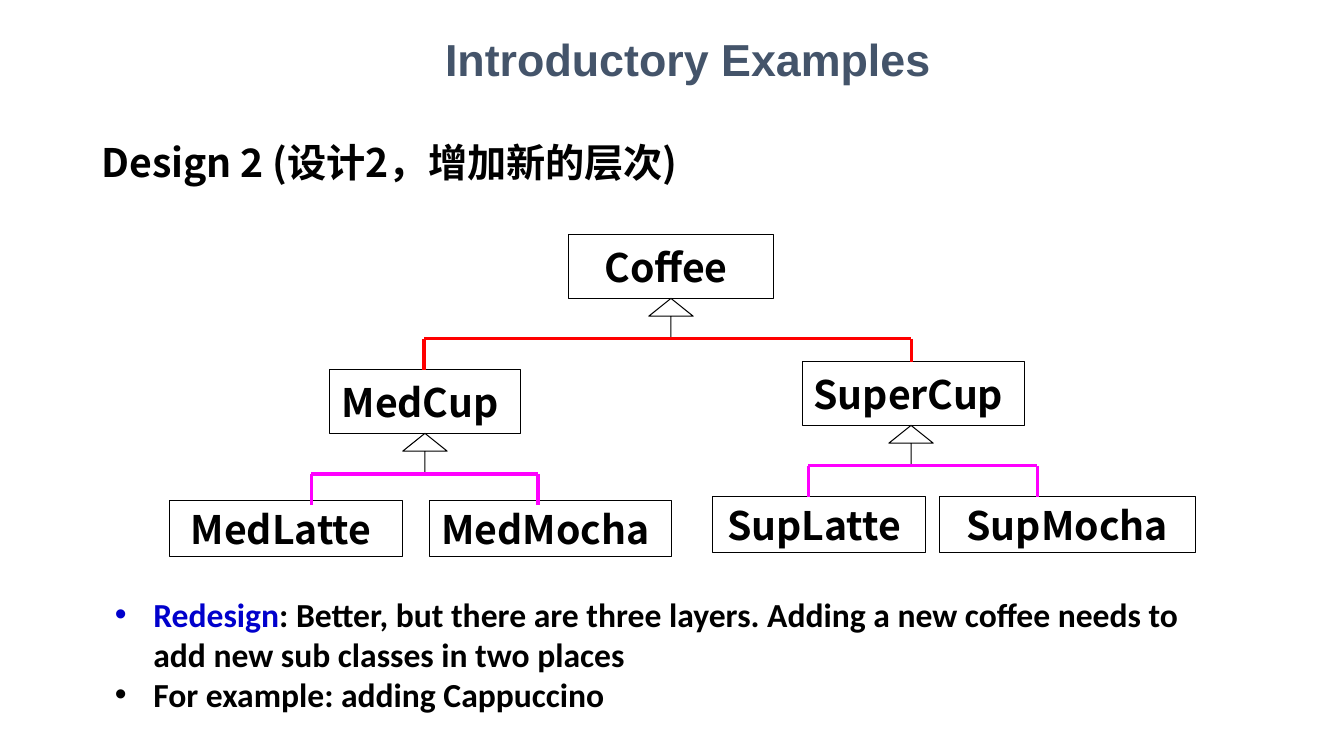
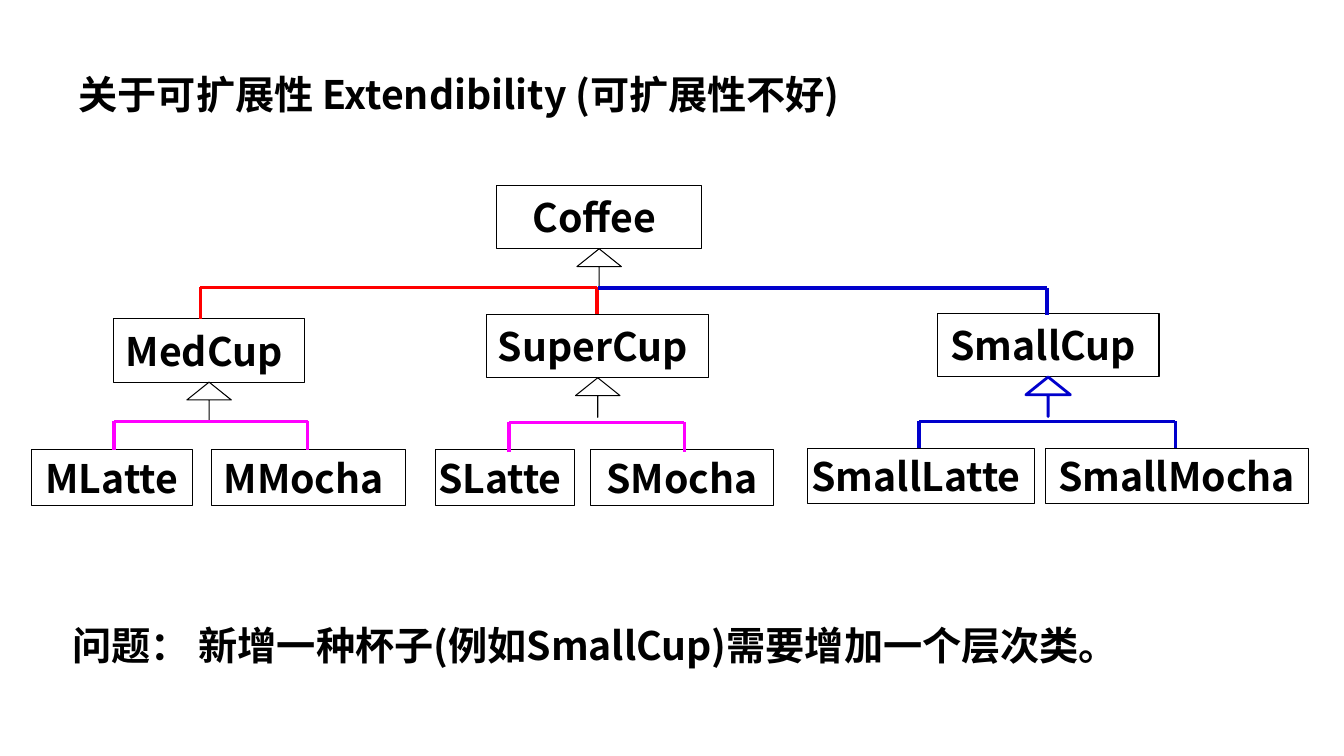
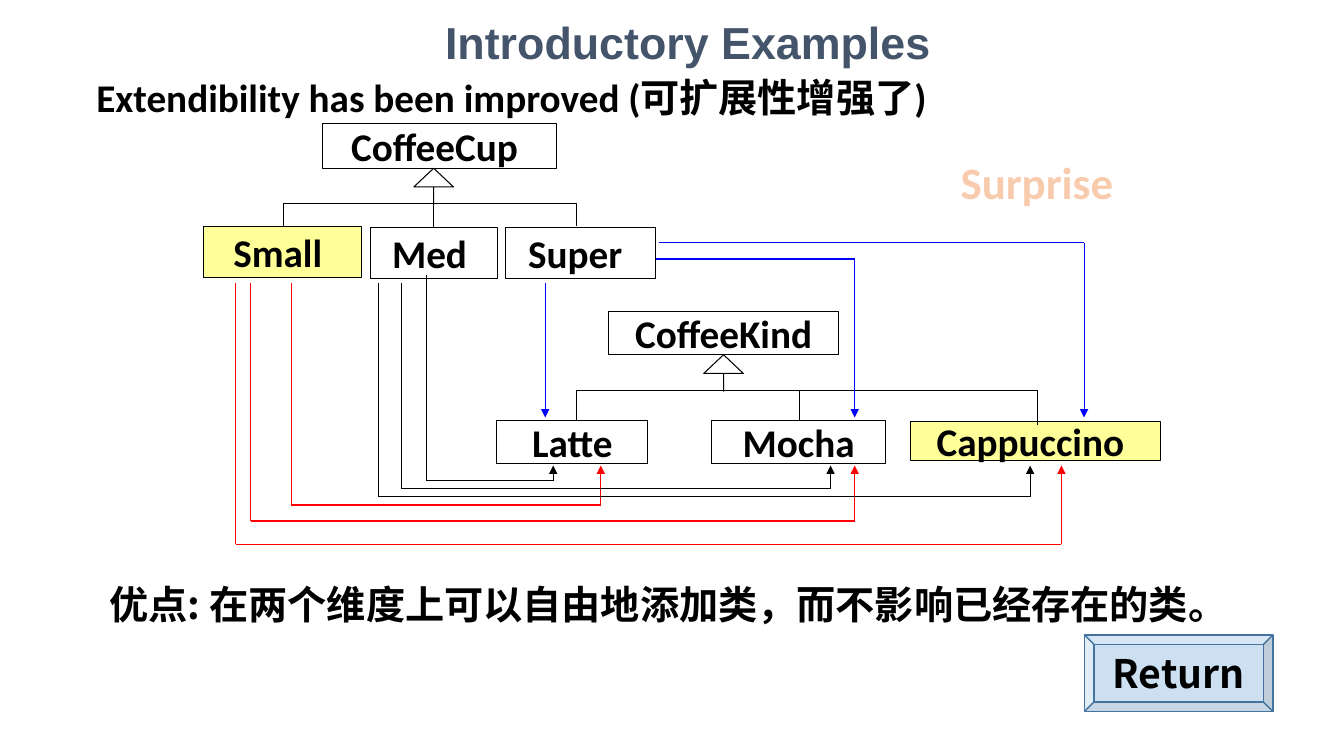
from itertools import pairwise

from lxml.etree import SubElement
from pptx import Presentation
from pptx.dml.color import RGBColor
from pptx.enum.shapes import MSO_CONNECTOR, MSO_SHAPE
from pptx.enum.text import MSO_ANCHOR, MSO_AUTO_SIZE, PP_ALIGN
from pptx.oxml.ns import qn
from pptx.util import Cm, Pt

# Shared look
NOTO, CALIBRI, ARIAL = "Noto Sans CJK SC", "Calibri", "Arial"
BLACK, WHITE, SLATE = "000000", "FFFFFF", "44546A"
RED, MAGENTA, BLUE, NAVY = "FF0000", "FF00FF", "0000FF", "0000CC"
YELLOW, PEACH, STEEL, STEEL_EDGE = "FFFF99", "F8CBAD", "5B9BD5", "43739E"
THIN, THICK = 0.75, 2.5
CUP_HEIGHT, DRINK_HEIGHT = 1.6, 1.4
NUDGE = 0.25  # extra right inset that sets a class name slightly left


def rgb(colour):
    return RGBColor.from_string(colour)


# Text
def add_run(paragraph, text, size=28, font=NOTO, colour=BLACK):
    run = paragraph.add_run()
    run.text = text
    run.font.size = Pt(size)
    run.font.bold = True
    run.font.name = font
    run.font.color.rgb = rgb(colour)
    SubElement(run.font._element, qn("a:ea"), typeface=font)


def set_bullet(paragraph, bullet=None, indent=0):
    properties = paragraph._p.get_or_add_pPr()
    properties.set("marL", str(Cm(indent)))
    properties.set("indent", str(-Cm(indent)))
    if bullet:
        SubElement(properties, qn("a:buFont"), typeface=ARIAL)
        SubElement(properties, qn("a:buChar"), char=bullet)
    else:
        SubElement(properties, qn("a:buNone"))


def place(holder, left, top, width, height, anchor=MSO_ANCHOR.TOP):
    holder.left, holder.top = Cm(left), Cm(top)
    holder.width, holder.height = Cm(width), Cm(height)
    frame = holder.text_frame
    frame.word_wrap = True
    frame.auto_size = MSO_AUTO_SIZE.NONE
    frame.vertical_anchor = anchor
    return frame


def add_title(slide, top, height):
    frame = place(slide.shapes.title, 8.74, top, 17.2, height, MSO_ANCHOR.MIDDLE)
    frame.paragraphs[0].alignment = PP_ALIGN.CENTER
    add_run(frame.paragraphs[0], "Introductory Examples", 32, ARIAL, SLATE)


def add_body(slide, box, items, bullet=None, indent=0):
    """Fill the body placeholder; each item is a list of run arguments."""
    frame = place(slide.placeholders[1], *box)
    for number, runs in enumerate(items):
        paragraph = frame.add_paragraph() if number else frame.paragraphs[0]
        set_bullet(paragraph, bullet, indent)
        paragraph.space_before = Pt(0)
        for run in runs:
            add_run(paragraph, *run)


def add_label(slide, box, runs, align=PP_ALIGN.LEFT):
    label = slide.shapes.add_textbox(0, 0, 0, 0)
    paragraph = place(label, *box).paragraphs[0]
    paragraph.alignment = align
    for run in runs:
        add_run(paragraph, *run)


# Diagram parts
def add_preset(slide, preset, box, fill=WHITE, line=BLACK, weight=THIN):
    shape = slide.shapes.add_shape(preset, *map(Cm, box))
    shape.shadow.inherit = False
    shape.fill.solid()
    shape.fill.fore_color.rgb = rgb(fill)
    shape.line.color.rgb = rgb(line)
    shape.line.width = Pt(weight)
    return shape


def add_caption(shape, text, font=NOTO):
    frame = shape.text_frame
    frame.vertical_anchor = MSO_ANCHOR.MIDDLE
    frame.paragraphs[0].alignment = PP_ALIGN.CENTER
    add_run(frame.paragraphs[0], text, font=font)


def add_class(slide, name, box, font=NOTO, fill=WHITE, nudge=NUDGE):
    shape = add_preset(slide, MSO_SHAPE.RECTANGLE, box, fill)
    shape.text_frame.word_wrap = False
    shape.text_frame.margin_right = Cm(0.25 + nudge)
    add_caption(shape, name, font)


def add_parent(slide, name, box, tip=None, font=NOTO, size=(1.12, 1),
               head=0.449, line=BLACK, weight=THIN, nudge=NUDGE):
    """A class with the inheritance arrow touching its lower edge."""
    add_class(slide, name, box, font, nudge=nudge)
    left, top, width, height = box
    centre = tip or left + width / 2
    arrow = add_preset(slide, MSO_SHAPE.UP_ARROW,
                       (centre - size[0] / 2, top + height, *size),
                       line=line, weight=weight)
    arrow.adjustments[0] = 0
    arrow.adjustments[1] = head


def add_route(slide, points, colour=BLACK, weight=THIN, arrow=False):
    """Join the points with straight lines; the last may carry an arrowhead."""
    for start, end in pairwise(points):
        line = slide.shapes.add_connector(
            MSO_CONNECTOR.STRAIGHT, *map(Cm, (*start, *end)))
        line.line.color.rgb = rgb(colour)
        line.line.width = Pt(weight)
        if arrow and end == points[-1]:
            SubElement(line.line._get_or_add_ln(), qn("a:tailEnd"), type="triangle")
        SubElement(line._element.spPr, qn("a:effectLst"))


def add_fork(slide, bar, left_foot, right_foot, colour=BLACK, weight=THICK):
    add_route(slide, [left_foot, (left_foot[0], bar), (right_foot[0], bar),
                      right_foot], colour, weight)


# Slides
def build_redesign(slide):
    add_title(slide, 0.71, 1.55)
    add_label(slide, (2.31, 3.35, 19, 1.45), [("Design 2 (设计2，增加新的层次)",)])

    add_parent(slide, "Coffee", (14.33, 5.92, 5.16, CUP_HEIGHT))
    add_parent(slide, "MedCup", (8.31, 9.32, 4.8, CUP_HEIGHT))
    add_parent(slide, "SuperCup", (20.22, 9.12, 5.59, CUP_HEIGHT), tip=22.96)
    for name, left, top, width, nudge in (
            ("MedLatte", 4.27, 12.62, 5.87, NUDGE),
            ("MedMocha", 10.82, 12.62, 6.1, NUDGE),
            ("SupLatte", 17.96, 12.52, 5.36, NUDGE),
            ("SupMocha", 23.67, 12.52, 6.45, 0)):
        add_class(slide, name, (left, top, width, DRINK_HEIGHT), nudge=nudge)
    add_fork(slide, 8.53, (10.69, 9.32), (22.97, 9.12), RED)
    add_fork(slide, 11.94, (7.85, 12.73), (13.56, 12.73), MAGENTA)
    add_fork(slide, 11.73, (20.37, 12.52), (26.14, 12.52), MAGENTA)

    add_body(slide, (2.64, 14.83, 28.52, 3.33), [
        [("Redesign", 24, CALIBRI, NAVY),
         (": Better, but there are three layers. Adding a new coffee needs to "
          "add new sub classes in two places", 24, CALIBRI)],
        [("For example: adding Cappuccino", 24, CALIBRI)],
    ], bullet="•", indent=0.97)


def build_extendibility(slide):
    heading = place(slide.shapes.title, 1.73, 1.65, 26.9, 1.45).paragraphs[0]
    heading.alignment = PP_ALIGN.LEFT
    add_run(heading, "关于可扩展性 Extendibility (可扩展性不好)")

    add_parent(slide, "Coffee", (12.52, 4.67, 5.16, CUP_HEIGHT))
    add_parent(slide, "MedCup", (2.87, 8.03, 4.8, CUP_HEIGHT))
    add_parent(slide, "SuperCup", (12.27, 7.92, 5.59, CUP_HEIGHT))
    add_parent(slide, "SmallCup", (23.62, 7.9, 5.59, CUP_HEIGHT),
               line=NAVY, weight=2)
    for name, left, top, width, nudge in (
            ("MLatte", 0.79, 11.33, 4.06, 0),
            ("MMocha", 5.33, 11.33, 4.9, NUDGE),
            ("SLatte", 10.97, 11.33, 3.51, NUDGE),
            ("SMocha", 14.88, 11.33, 4.62, 0),
            ("SmallLatte", 20.35, 11.3, 5.72, NUDGE),
            ("SmallMocha", 26.34, 11.3, 6.63, 0)):
        add_class(slide, name, (left, top, width, DRINK_HEIGHT), nudge=nudge)
    add_fork(slide, 7.24, (5.05, 8.03), (15.04, 7.92), RED)
    add_route(slide, [(15.06, 7.26), (26.39, 7.26), (26.39, 7.95)], NAVY, THICK)
    add_fork(slide, 10.62, (2.87, 11.33), (7.75, 11.33), MAGENTA)
    add_fork(slide, 10.64, (12.83, 11.4), (17.25, 11.4), MAGENTA)
    add_fork(slide, 10.62, (23.16, 11.3), (29.62, 11.3), NAVY)

    add_body(slide, (1.57, 15.52, 29.62, 1.45),
             [[("问题： 新增一种杯子(例如SmallCup)需要增加一个层次类。",)]])


def build_improvement(slide):
    add_title(slide, 0.56, 0.97)
    add_label(slide, (2.18, 1.73, 26.75, 1.45), [
        ("Extendibility has been improved (", 28, CALIBRI),
        ("可扩展性增强了",), (")", 28, CALIBRI)])
    add_label(slide, (23.52, 3.78, 5.23, 1.63),
              [("Surprise", 32, CALIBRI, PEACH)], PP_ALIGN.CENTER)

    # Two class trees
    small_arrow = {"font": CALIBRI, "size": (1, 0.92), "head": 0.514}
    add_parent(slide, "CoffeeCup", (8.13, 3.12, 5.89, 1.12), tip=10.93, **small_arrow)
    add_parent(slide, "CoffeeKind", (15.34, 7.85, 5.79, 1.09), nudge=0, **small_arrow)
    for name, box, fill, nudge in (
            ("Small", (5.13, 5.72, 3.99, 1.27), YELLOW, NUDGE),
            ("Med", (9.35, 5.74, 3.2, 1.27), WHITE, NUDGE),
            ("Super", (12.73, 5.74, 3.78, 1.27), WHITE, NUDGE),
            ("Latte", (12.52, 10.59, 3.81, 1.09), WHITE, 0),
            ("Mocha", (17.93, 10.59, 4.39, 1.09), WHITE, 0),
            ("Cappuccino", (22.94, 10.62, 6.3, 0.99), YELLOW, NUDGE)):
        add_class(slide, name, box, CALIBRI, fill, nudge)
    add_fork(slide, 5.13, (7.14, 5.72), (14.53, 5.69), weight=THIN)
    add_fork(slide, 9.83, (14.53, 10.59), (26.14, 10.72), weight=THIN)
    add_route(slide, [(10.92, 5.13), (10.92, 5.72)])
    add_route(slide, [(20.14, 9.83), (20.14, 10.59)])

    # Super reaches each kind from above
    kind_top, kind_bottom = 10.52, 11.73
    add_route(slide, [(13.74, 7.14), (13.74, kind_top)], BLUE, 1, arrow=True)
    for start, lane, end, weight in ((16.54, 6.53, 21.54, 1),
                                     (16.61, 6.12, 27.32, THIN)):
        add_route(slide, [(start, lane), (end, lane), (end, kind_top)],
                  BLUE, weight, arrow=True)

    # Small and Med reach each kind from below
    for start, top, lane, end, colour, weight in (
            (7.34, 7.14, 12.73, 15.14, RED, 1),
            (6.32, 7.14, 13.13, 21.54, RED, 1),
            (5.94, 7.14, 13.72, 26.75, RED, THIN),
            (10.74, 6.93, 12.12, 13.94, BLACK, THIN),
            (10.13, 7.14, 12.32, 20.93, BLACK, THIN),
            (9.53, 7.14, 12.52, 25.96, BLACK, THIN)):
        add_route(slide, [(start, top), (start, lane), (end, lane),
                          (end, kind_bottom)], colour, weight, arrow=True)

    add_body(slide, (2.51, 14.5, 29.64, 1.68),
             [[("优点: 在两个维度上可以自由地添加类，而不影响已经存在的类。",)]])

    # Return button with a see-through fill
    button = add_preset(slide, MSO_SHAPE.BEVEL, (27.33, 16, 4.75, 1.93),
                        STEEL, STEEL_EDGE, 1)
    tint = button._element.spPr.find(qn("a:solidFill"))[0]
    SubElement(tint, qn("a:alpha"), val="31000")
    add_caption(button, "Return")


def main():
    deck = Presentation()
    deck.slide_width, deck.slide_height = Cm(33.87), Cm(19.05)
    title_and_body = deck.slide_layouts[1]
    for build in (build_redesign, build_extendibility, build_improvement):
        build(deck.slides.add_slide(title_and_body))
    deck.save("out.pptx")


if __name__ == "__main__":
    main()
